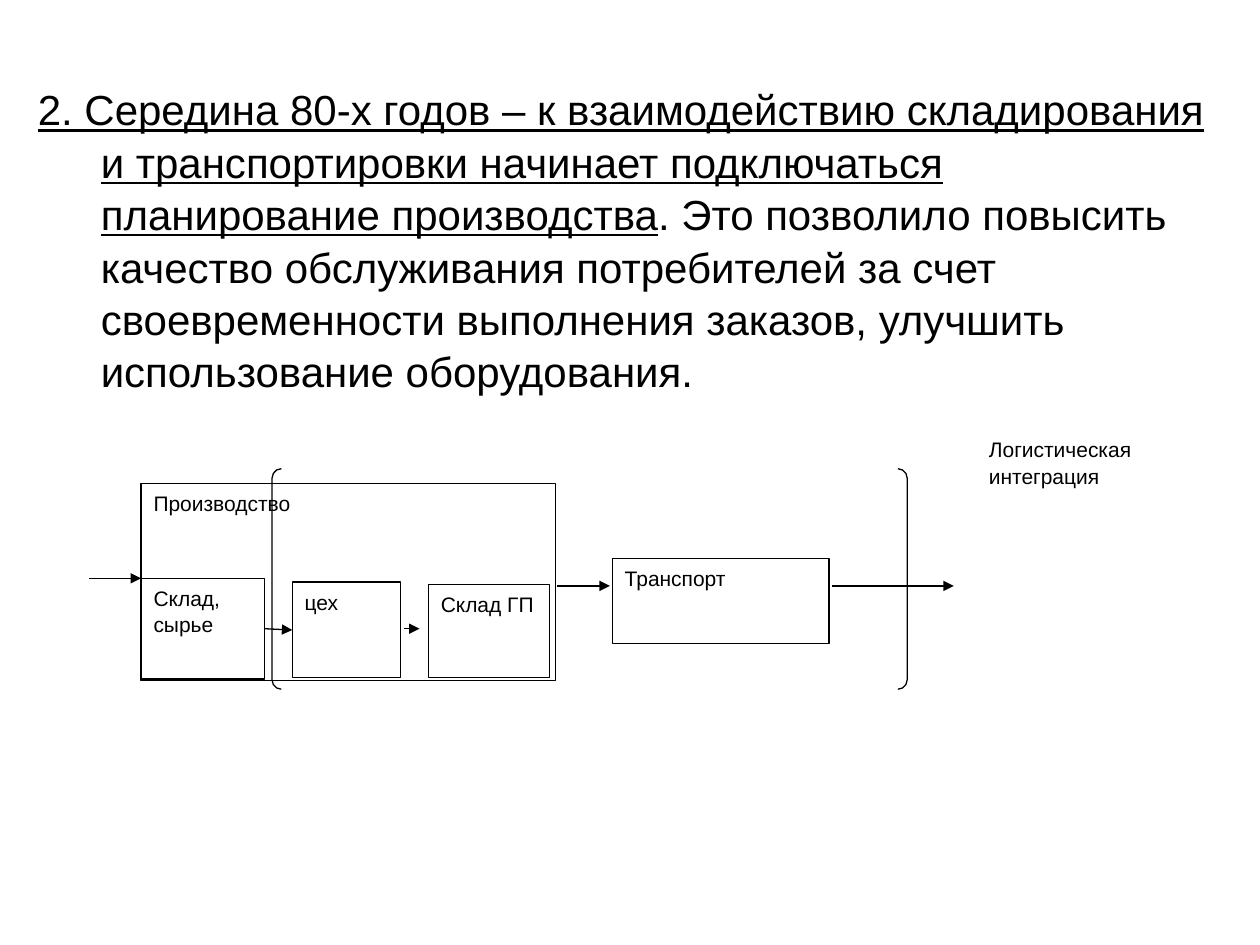
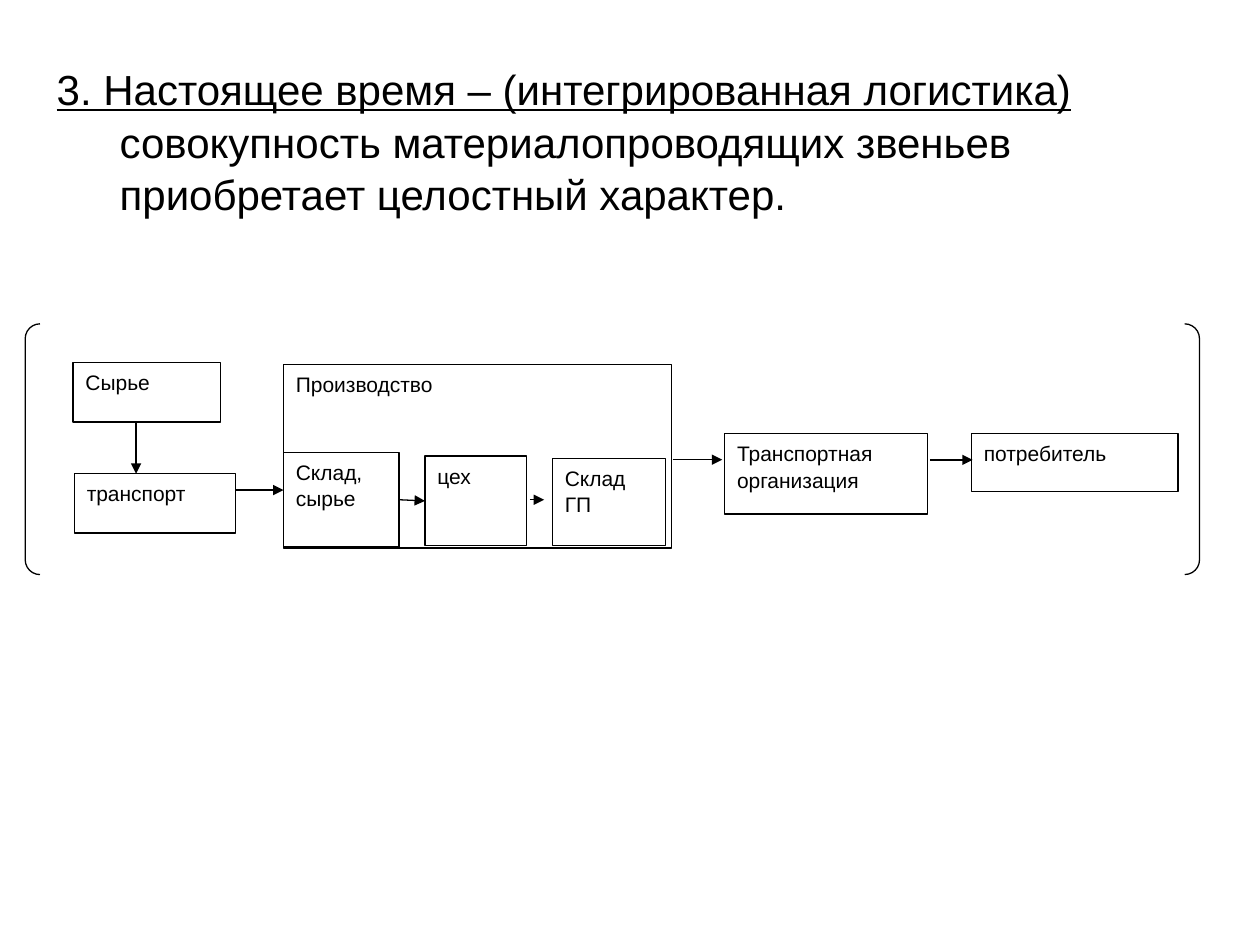
from lxml import etree
from pptx import Presentation
from pptx.dml.color import RGBColor
from pptx.enum import shapes, text
from pptx.oxml import ns
from pptx.util import Inches, Pt

BLACK = RGBColor(0x00, 0x00, 0x00)
WHITE = RGBColor(0xFF, 0xFF, 0xFF)
FONT = "Arial"
LINE_WIDTH = Pt(0.75)
LINE_SPACING = 1.04
TITLE_ONLY = 5


def write_text(frame, runs, size=12, hanging=0):
    """Fill a frame with one left-aligned paragraph of (text, underlined) runs."""
    frame.word_wrap = True
    frame.auto_size = text.MSO_AUTO_SIZE.NONE
    frame.vertical_anchor = text.MSO_ANCHOR.TOP
    frame.margin_left = frame.margin_right = Inches(0.1)
    frame.margin_top = frame.margin_bottom = Inches(0.05)
    paragraph = frame.paragraphs[0]
    paragraph.alignment = text.PP_ALIGN.LEFT
    paragraph.line_spacing = LINE_SPACING
    paragraph.space_before = Pt(0)
    if hanging:
        properties = paragraph._p.get_or_add_pPr()
        properties.set("marL", str(Inches(hanging)))
        properties.set("indent", str(-Inches(hanging)))
    for content, underlined in runs:
        run = paragraph.add_run()
        run.text = content
        run.font.name = FONT
        run.font.size = Pt(size)
        run.font.underline = underlined
        run.font.color.rgb = BLACK


class Deck:
    """Holds the shared style and the current slide."""

    def __init__(self):
        self.presentation = Presentation()
        self.presentation.slide_width = Inches(10)
        self.presentation.slide_height = Inches(7.5)
        self.slide = None

    def new_slide(self):
        layout = self.presentation.slide_layouts[TITLE_ONLY]
        self.slide = self.presentation.slides.add_slide(layout)

    def title(self, left, top, width, height, runs):
        title = self.slide.shapes.title
        title.left, title.top = Inches(left), Inches(top)
        title.width, title.height = Inches(width), Inches(height)
        write_text(title.text_frame, runs, size=24, hanging=0.5)

    def outline(self, kind, left, top, width, height):
        shape = self.slide.shapes.add_shape(
            kind, Inches(left), Inches(top), Inches(width), Inches(height))
        shape.shadow.inherit = False
        shape.line.color.rgb = BLACK
        shape.line.width = LINE_WIDTH
        return shape

    def box(self, left, top, width, height, label):
        shape = self.outline(shapes.MSO_SHAPE.RECTANGLE, left, top, width, height)
        shape.fill.solid()
        shape.fill.fore_color.rgb = WHITE
        write_text(shape.text_frame, [(label, False)])
        return shape

    def note(self, left, top, width, height, label):
        note = self.slide.shapes.add_textbox(
            Inches(left), Inches(top), Inches(width), Inches(height))
        write_text(note.text_frame, [(label, False)])

    def brackets(self, left, top, width, height, rounding):
        shape = self.outline(shapes.MSO_SHAPE.DOUBLE_BRACKET, left, top, width, height)
        shape.fill.background()
        shape.adjustments[0] = rounding

    def arrow(self, start_x, start_y, end_x, end_y):
        connector = self.slide.shapes.add_connector(
            shapes.MSO_CONNECTOR.STRAIGHT,
            Inches(start_x), Inches(start_y), Inches(end_x), Inches(end_y))
        connector.line.color.rgb = BLACK
        connector.line.width = LINE_WIDTH
        line = connector.line._get_or_add_ln()
        etree.SubElement(line, ns.qn("a:tailEnd"), type="triangle")
        etree.SubElement(connector._element.spPr, ns.qn("a:effectLst"))
        return connector

    def production_chain(self, left, top, carrier, scale=1.0):
        """Production with its stages, followed by the carrier."""
        def place(x, y, width, height, label):
            return self.box(left + x * scale, top + y * scale,
                            width * scale, height * scale, label)

        def flow(start, end, y):
            return self.arrow(left + start * scale, top + y * scale,
                              left + end * scale, top + y * scale)

        place(0, 0, 3.29, 1.56, "Производство")
        raw_store = place(0, 0.75, 0.98, 0.8, "Склад, сырье")
        workshop = place(1.2, 0.78, 0.86, 0.76, "цех")
        place(2.28, 0.8, 0.96, 0.74, "Склад ГП")
        place(3.74, 0.59, 1.72, 0.68, carrier)
        supply = flow(0.98, 1.2, 1.15)
        supply.begin_connect(raw_store, 3)
        supply.end_connect(workshop, 1)
        flow(2.09, 2.21, 1.15)
        flow(3.3, 3.72, 0.81)


def add_mid_eighties(deck):
    deck.new_slide()
    deck.title(0.2, 0.6, 9.69, 2.5, [
        ("2. Середина 80-х годов – к взаимодействию складирования и транспортировки "
         "начинает подключаться планирование производства", True),
        (". Это позволило повысить качество обслуживания потребителей за счет "
         "своевременности выполнения заказов, улучшить использование оборудования.",
         False)])
    deck.production_chain(1.12, 3.84, "Транспорт")
    # Flows in and out of the chain
    deck.arrow(0.71, 4.59, 1.12, 4.59)
    deck.arrow(6.6, 4.65, 7.57, 4.65)
    # Scope of integration
    deck.note(7.75, 3.41, 1.82, 0.71, "Логистическая интеграция")
    deck.brackets(2.16, 3.72, 5.04, 1.75, 0.042)


def add_present_day(deck):
    deck.new_slide()
    deck.title(0.35, 0.44, 9.53, 1.3, [
        ("3. Настоящее время – (интегрированная логистика)", True),
        (" совокупность материалопроводящих звеньев приобретает целостный характер.",
         False)])
    deck.production_chain(2.25, 2.89, "Транспортная организация", scale=0.936)
    # Supply side
    deck.box(0.58, 2.88, 1.17, 0.47, "Сырье")
    deck.box(0.59, 3.76, 1.28, 0.47, "транспорт")
    deck.arrow(1.08, 3.36, 1.08, 3.76)
    deck.arrow(1.87, 3.89, 2.25, 3.89)
    # Consumer side
    deck.box(7.71, 3.44, 1.64, 0.46, "потребитель")
    deck.arrow(7.38, 3.65, 7.72, 3.65)
    # Scope of integration
    deck.brackets(0.2, 2.57, 9.32, 1.99, 0.059)


def main():
    deck = Deck()
    add_mid_eighties(deck)
    add_present_day(deck)
    deck.presentation.save("out.pptx")


if __name__ == "__main__":
    main()
